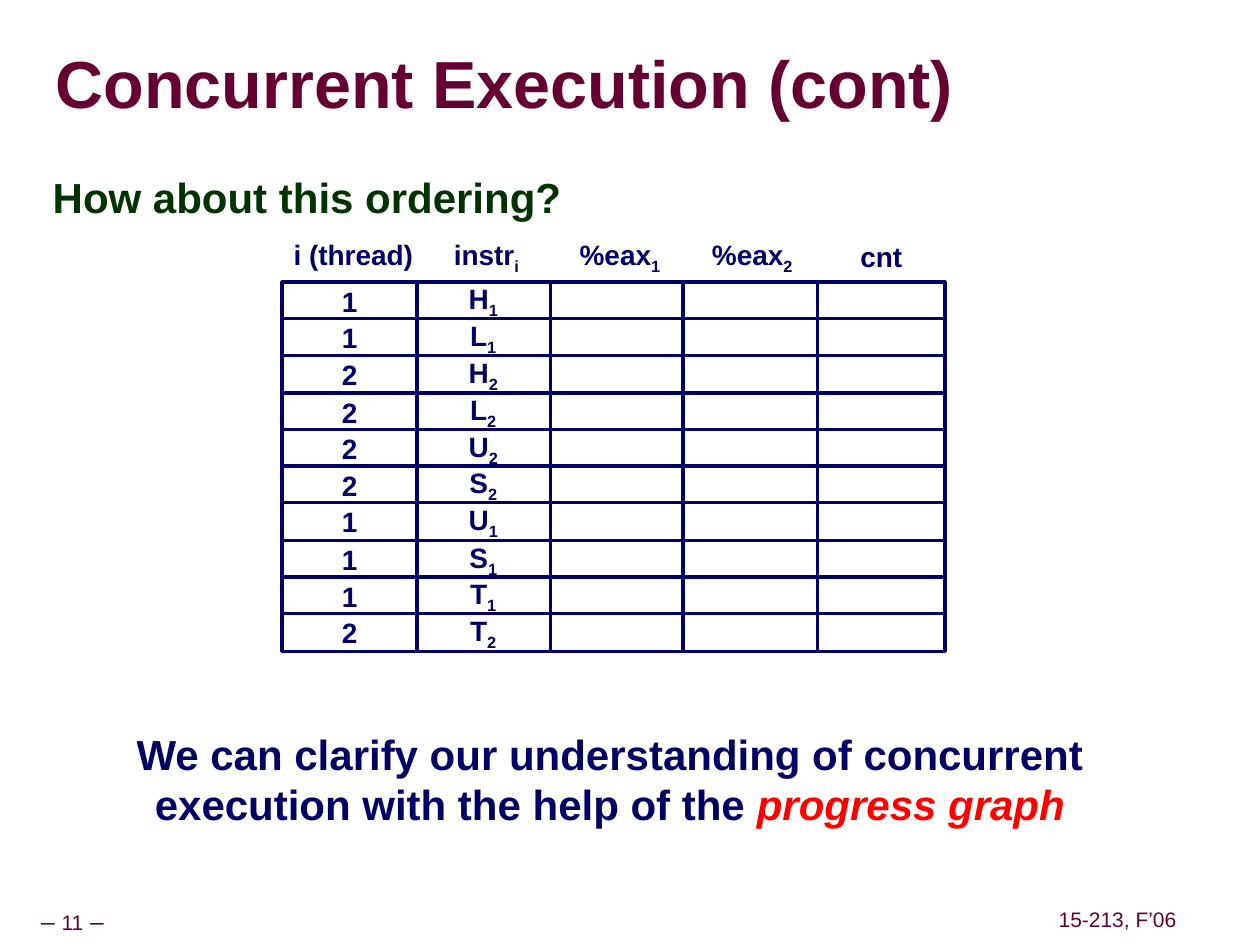
from dataclasses import dataclass
from typing import NamedTuple, Optional

from pptx import Presentation
from pptx.dml.color import RGBColor as RGB
from pptx.enum.shapes import MSO_SHAPE as Shape
from pptx.enum.text import MSO_ANCHOR as Anchor, MSO_AUTO_SIZE as AutoSize, PP_ALIGN as Align
from pptx.util import Inches, Pt


@dataclass(frozen=True)
class Theme:
    font: str = "Arial"
    maroon: RGB = RGB(0x66, 0x00, 0x33)
    green: RGB = RGB(0x00, 0x33, 0x00)
    navy: RGB = RGB(0x00, 0x00, 0x66)
    red: RGB = RGB(0xFF, 0x00, 0x00)
    white: RGB = RGB(0xFF, 0xFF, 0xFF)
    title: int = 38
    body: int = 24
    cell: int = 16
    dash: int = 14
    footer: int = 12
    border: int = 2


class Run(NamedTuple):
    text: str
    size: Optional[int] = None
    color: Optional[RGB] = None
    italic: Optional[bool] = None
    sub: bool = False


class Box(NamedTuple):
    left: float
    top: float
    width: float
    height: float


class Style(NamedTuple):
    size: int
    color: RGB
    bold: bool = True
    align: Align = Align.CENTER
    spacing: Optional[float] = None


@dataclass(frozen=True)
class Label:
    box: Box
    lines: list[list[Run]]
    style: Style
    inset: tuple[float, float] = (0.1, 0.05)
    anchor: Anchor = Anchor.MIDDLE
    wrap: bool = False
    grow: bool = True


@dataclass(frozen=True)
class Column:
    left: float
    cells: list[list[Run]]
    heading: list[Run]
    heading_box: Box


T = Theme()
CELL = Style(T.cell, T.navy)
NOTE = Style(T.body, T.navy)
FOOTER = Style(T.footer, T.maroon, bold=False, spacing=0.9)
STEPS = ["H1", "L1", "H2", "L2", "U2", "S2", "U1", "S1", "T1", "T2"]
GRID_TOP, ROW_PITCH = 2.24, 2.63 / 9
CELL_W, CELL_H = 1.07, 0.3


def subscripted(base: str, sub: str) -> list[Run]:
    return [Run(base), Run(sub, sub=True)]


EMPTY: list[list[Run]] = [[] for _ in STEPS]
COLUMNS = [
    Column(3.3, [subscripted(*step) for step in STEPS],
           subscripted("instr", "i"), Box(3.46, 1.83, 0.8, 0.41)),
    Column(2.24, [[Run(step[1])] for step in STEPS],
           [Run("i (thread)")], Box(2.23, 1.83, 1.15, 0.37)),
    Column(4.37, EMPTY, subscripted("%eax", "1"), Box(4.47, 1.83, 0.9, 0.41)),
    Column(6.43, EMPTY, [Run("cnt")], Box(6.73, 1.85, 0.53, 0.37)),
    Column(5.42, EMPTY, subscripted("%eax", "2"), Box(5.52, 1.83, 0.9, 0.41)),
]

LABELS = [
    Label(Box(-0.02, 7.17, 1.19, 0.31),
          [[Run("– ", T.dash), Run("11"), Run(" –", T.dash)]], FOOTER, (0.05, 0.05)),
    Label(Box(8.35, 7.17, 1.04, 0.28), [[Run("15-213, F’06")]], FOOTER, (0.05, 0.05)),
    Label(Box(0.44, 0.27, 9.53, 0.85), [[Run("Concurrent Execution (cont)")]],
          Style(T.title, T.maroon, align=Align.LEFT, spacing=0.87), (0, 0),
          wrap=True, grow=False),
    Label(Box(0.32, 1.34, 9.09, 5.71), [[Run("How about this ordering?")]],
          Style(T.body, T.green, align=Align.LEFT, spacing=0.95),
          anchor=Anchor.TOP, wrap=True, grow=False),
    Label(Box(0.98, 5.73, 7.72, 0.9),
          [[Run("We can clarify our understanding of concurrent")],
           [Run("execution with the help of the "),
            Run("progress graph", color=T.red, italic=True)]], NOTE),
]


def inches(box: Box) -> list[Inches]:
    return [Inches(v) for v in box]


def write(tf, lines: list[list[Run]], style: Style) -> None:
    for i, runs in enumerate(lines):
        p = tf.add_paragraph() if i else tf.paragraphs[0]
        p.alignment = style.align
        if style.spacing:
            p.line_spacing = style.spacing
        p.font.name, p.font.size, p.font.bold = T.font, Pt(style.size), style.bold
        p.font.color.rgb = style.color
        for run in runs:
            r = p.add_run()
            r.text = run.text
            if run.size:
                r.font.size = Pt(run.size)
            if run.color:
                r.font.color.rgb = run.color
            if run.italic:
                r.font.italic = True
            if run.sub:
                r._r.get_or_add_rPr().set("baseline", "-25000")


def draw_label(slide, label: Label) -> None:
    tf = slide.shapes.add_textbox(*inches(label.box)).text_frame
    tf.word_wrap = label.wrap
    tf.auto_size = AutoSize.SHAPE_TO_FIT_TEXT if label.grow else AutoSize.NONE
    tf.vertical_anchor = label.anchor
    tf.margin_left = tf.margin_right = Inches(label.inset[0])
    tf.margin_top = tf.margin_bottom = Inches(label.inset[1])
    write(tf, label.lines, label.style)


def draw_cell(slide, box: Box, runs: list[Run]) -> None:
    sp = slide.shapes.add_shape(Shape.RECTANGLE, *inches(box))
    sp.shadow.inherit = False
    sp.fill.solid()
    sp.fill.fore_color.rgb = T.white
    sp.line.color.rgb = T.navy
    sp.line.width = Pt(T.border)
    if runs:
        sp.text_frame.vertical_anchor = Anchor.MIDDLE
        write(sp.text_frame, [runs], CELL)


def draw_column(slide, column: Column) -> None:
    for row, runs in enumerate(column.cells):
        top = round(GRID_TOP + row * ROW_PITCH, 2)
        draw_cell(slide, Box(column.left, top, CELL_W, CELL_H), runs)
    draw_label(slide, Label(column.heading_box, [column.heading], CELL))


def main() -> None:
    prs = Presentation()
    prs.slide_width, prs.slide_height = Inches(10), Inches(7.5)
    slide = prs.slides.add_slide(prs.slide_layouts[6])
    for label in LABELS:
        draw_label(slide, label)
    for column in COLUMNS:
        draw_column(slide, column)
    prs.save("out.pptx")


if __name__ == "__main__":
    main()
